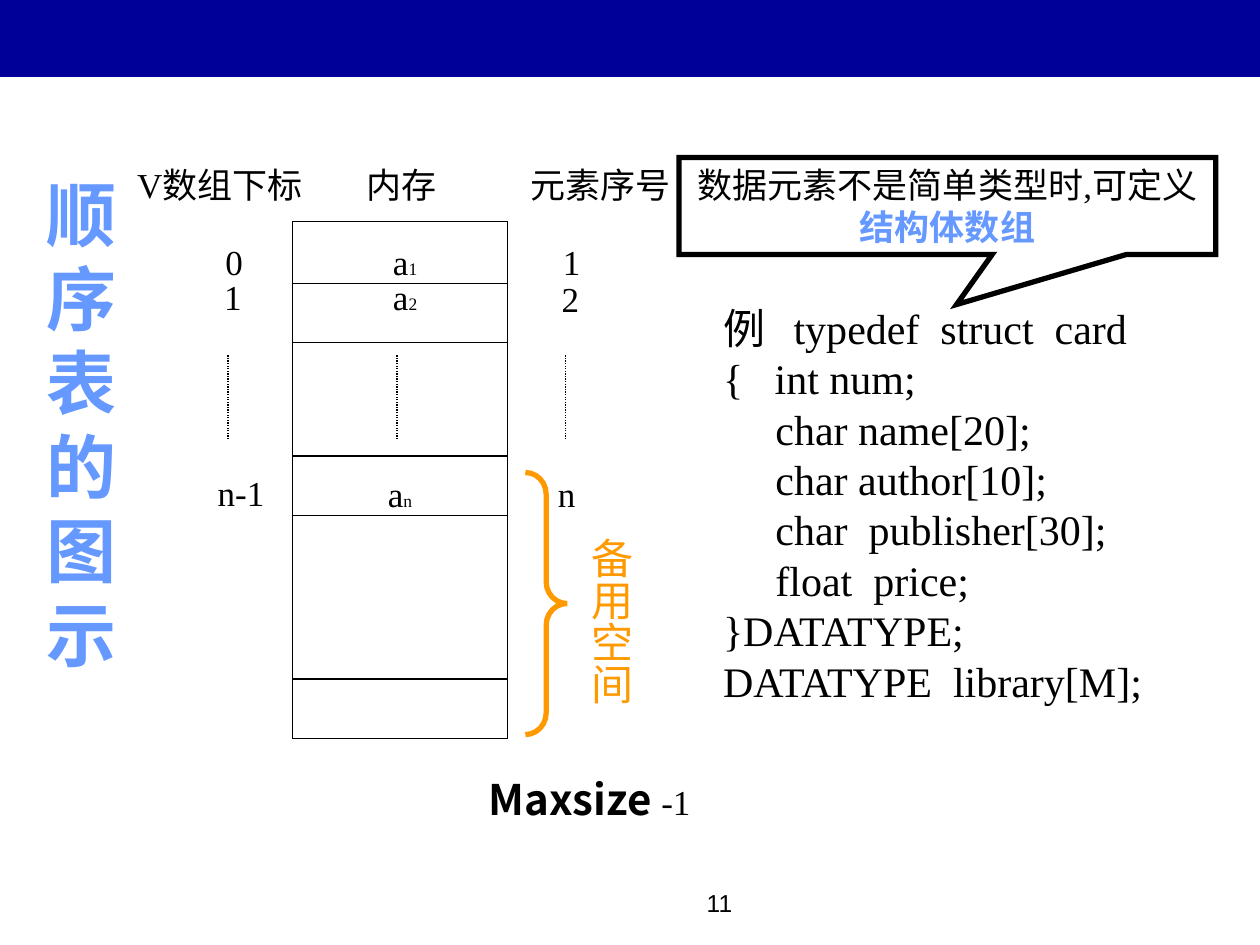
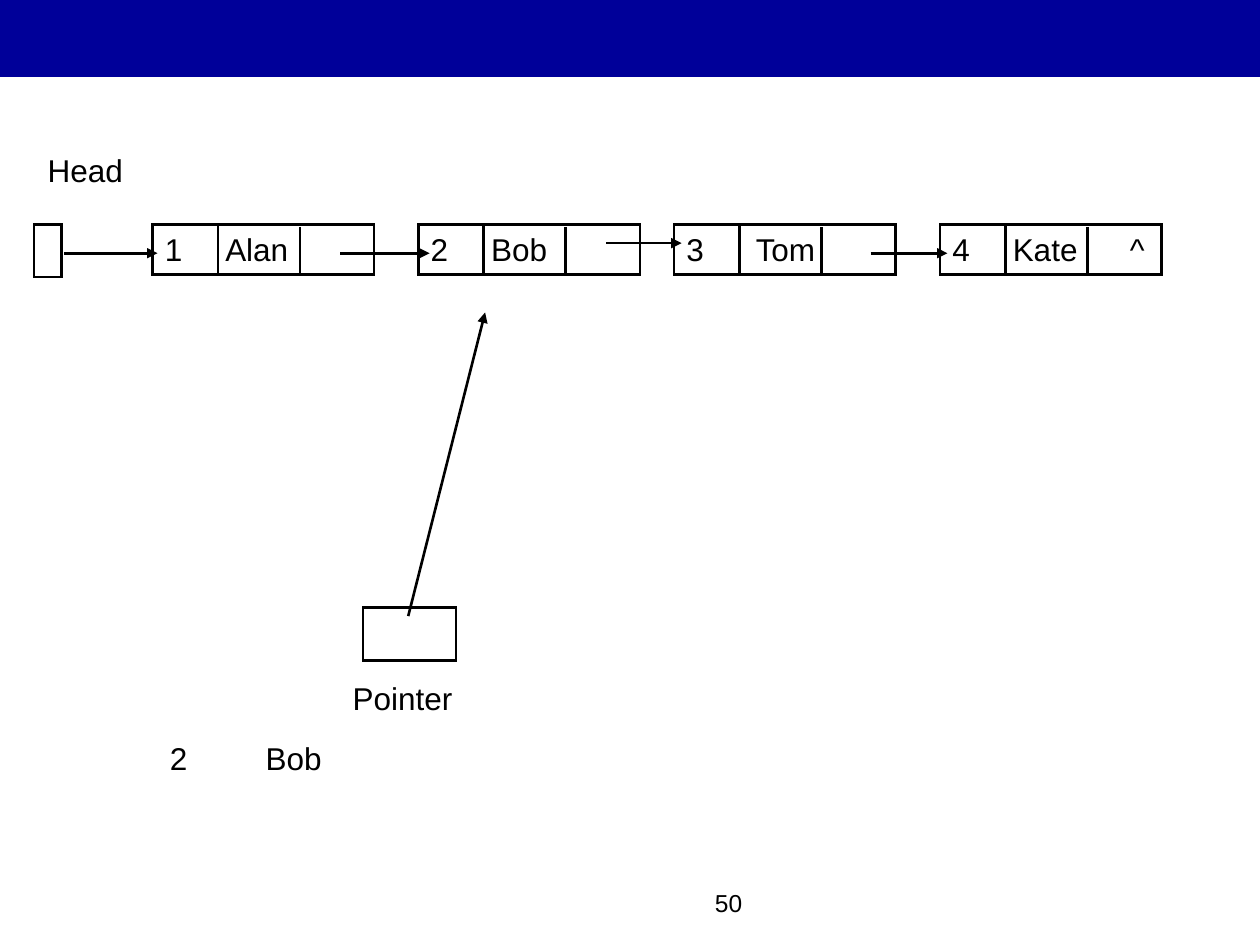
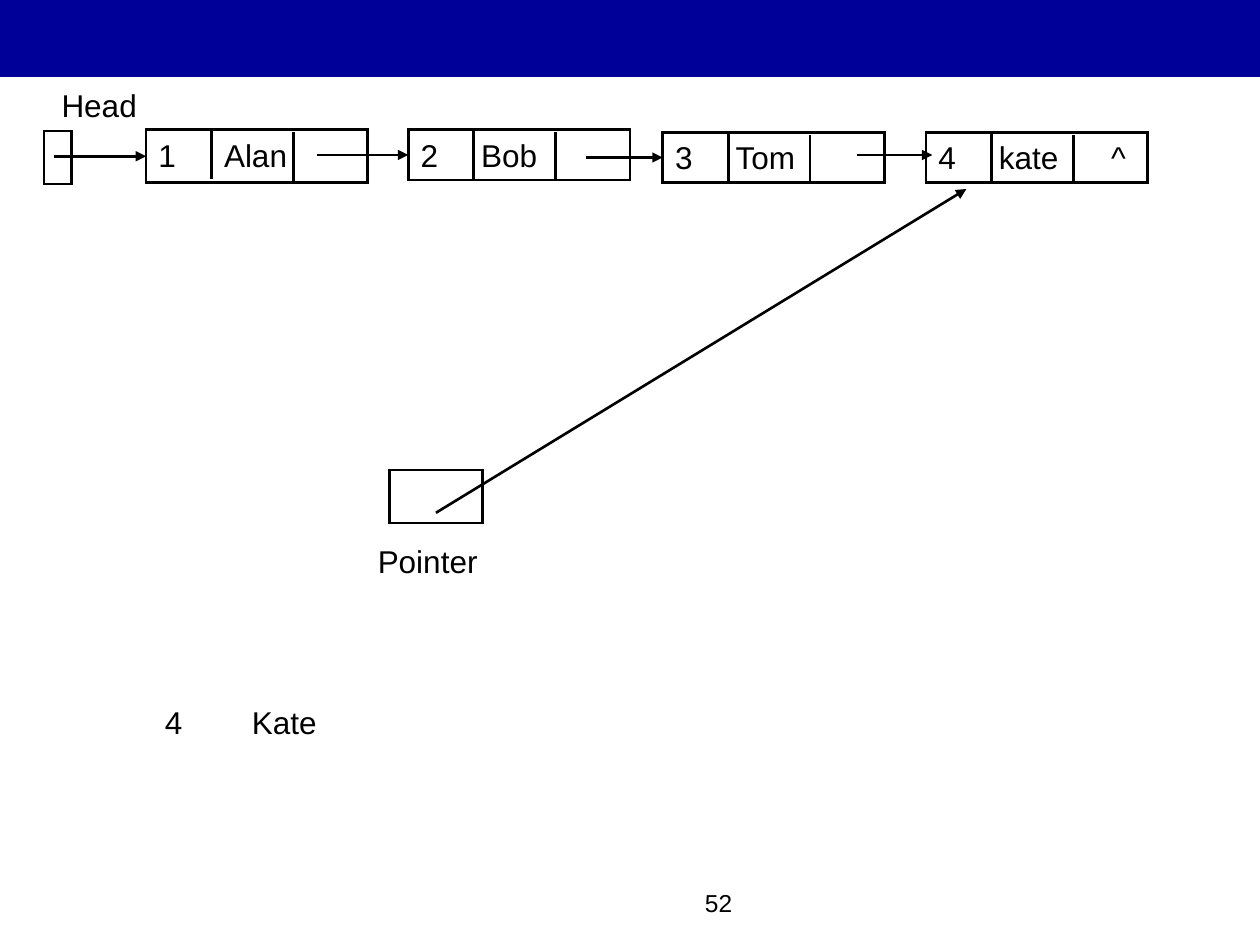
from dataclasses import dataclass

from lxml import etree
from pptx import Presentation
from pptx.dml.color import RGBColor
from pptx.enum.dml import MSO_LINE
from pptx.enum.shapes import MSO_CONNECTOR, MSO_SHAPE
from pptx.enum.text import MSO_ANCHOR, MSO_AUTO_SIZE, PP_ALIGN
from pptx.oxml.ns import qn
from pptx.util import Inches, Pt

STRAIGHT = MSO_CONNECTOR.STRAIGHT
RECTANGLE = MSO_SHAPE.RECTANGLE
CALLOUT = MSO_SHAPE.RECTANGULAR_CALLOUT
BRACE = MSO_SHAPE.RIGHT_BRACE
DOTTED = MSO_LINE.ROUND_DOT
TOP, MIDDLE = MSO_ANCHOR.TOP, MSO_ANCHOR.MIDDLE
FIXED, FIT_TEXT = MSO_AUTO_SIZE.NONE, MSO_AUTO_SIZE.SHAPE_TO_FIT_TEXT
LEFT, CENTER, RIGHT = PP_ALIGN.LEFT, PP_ALIGN.CENTER, PP_ALIGN.RIGHT
LEFT_SIDE = 1


@dataclass(frozen=True)
class Theme:
    band: str = "000099"
    ink: str = "000000"
    paper: str = "FFFFFF"
    accent: str = "6699FF"
    spare: str = "FF9900"
    sans: str = "Arial"
    serif: str = "Times New Roman"
    chinese: str = "Noto Sans CJK SC"
    title: int = 40
    code: int = 24
    label: int = 20
    node: int = 18
    number: int = 14
    subscript: int = 10
    thin: float = 0.75
    medium: float = 1.5
    thick: float = 3


THEME = Theme()

# Array slide: text, left, top, width
HEADINGS = [("V数组下标", 0.99, 1.25, 1.6), ("内存", 2.81, 1.25, 0.85), ("元素序号", 4.11, 1.25, 1.31)]
INDEXES = [("0", 1.69, 1.86, 0.34), ("1", 1.68, 2.14, 0.34), ("n-1", 1.63, 3.69, 0.57)]
ORDERS = [("1", 4.37, 1.86, 0.34), ("2", 4.36, 2.15, 0.34), ("n", 4.33, 3.7, 0.34)]
ELEMENTS = [("1", 3.02, 1.86), ("2", 3.02, 2.14), ("n", 2.98, 3.7)]
MEMORY = (2.32, 1.76, 1.71, 4.1)
CELL_BORDERS = [2.25, 2.72, 3.62, 4.09, 5.39]
ELLIPSES = [1.81, 3.15, 4.49]
CODE = [
    "例\ttypedef  struct  card",
    "{   int num;",
    "     char name[20];",
    "     char author[10];",
    "     char  publisher[30];",
    "     float  price;",
    "}DATATYPE;",
    "DATATYPE  library[M];",
]

# Linked-list slides. Nodes: left, top, height, text, tab stops.
# Links: start x, end x, y; a link without y is joined to its node's left side.
LISTS = [
    {
        "number": ("50", 3.91),
        "head": (0.28, 1.15),
        "head_box": (0.27, 1.78, 0.22, 0.42),
        "nodes": [
            (1.21, 1.78, 0.4, "1\tAlan", [0.48]),
            (3.32, 1.78, 0.4, "2\tBob", [0.48]),
            (5.35, 1.78, 0.4, "3\tTom", [0.55]),
            (7.46, 1.78, 0.4, "4\tKate\t^", [0.48, 1.41]),
        ],
        "links": [(0.51, 1.25, 2.01), (2.7, 3.41, 2.01), (4.81, 5.41, 1.93), (6.91, 7.52, 2.01)],
        "pointer": (2.7, 5.34),
        "pointer_box": (2.88, 4.82, 0.74, 0.42),
        "pointer_arrow": (3.24, 4.89, 3.85, 2.48),
        "result": ("2\tBob", 1.25, 5.82, 0.76),
    },
    {
        "number": ("52", 3.83),
        "head": (0.39, 0.63),
        "head_box": (0.35, 1.04, 0.22, 0.42),
        "nodes": [
            (1.16, 1.03, 0.42, "1\tAlan", [0.52]),
            (3.24, 1.03, 0.4, "2\tBob", [0.48]),
            (5.26, 1.05, 0.4, "3\tTom", [0.48]),
            (7.35, 1.05, 0.4, "4\tkate\t^", [0.48, 1.37]),
        ],
        "links": [(0.43, 1.16, None), (2.52, 3.24, None), (4.65, 5.26, None), (6.8, 7.4, 1.23)],
        "pointer": (2.9, 4.25),
        "pointer_box": (3.09, 3.73, 0.74, 0.42),
        "pointer_arrow": (3.46, 4.07, 7.67, 1.5),
        "result": ("4\tKate", 1.21, 5.53, 0.69),
    },
]
NODE_WIDTH = 1.76
DIVIDERS = [(0.52, 0), (1.17, 0.02)]
DIVIDER_HEIGHT = 0.39


def style_run(run, size, font, color=THEME.ink, bold=False):
    run.font.size = Pt(size)
    run.font.name = font
    run.font.bold = bold
    run.font.color.rgb = RGBColor.from_string(color)
    east_asian = etree.SubElement(run._r.get_or_add_rPr(), qn("a:ea"))
    east_asian.set("typeface", THEME.chinese)


def set_tabs(paragraph, stops):
    tab_list = etree.SubElement(paragraph._p.get_or_add_pPr(), qn("a:tabLst"))
    for stop in stops:
        etree.SubElement(tab_list, qn("a:tab"), pos=str(Inches(stop)), algn="l")


def write(shape, text, size, font, color=THEME.ink, bold=False, align=LEFT, tabs=()):
    shape.text_frame.text = text
    for paragraph in shape.text_frame.paragraphs:
        paragraph.alignment = align
        if tabs:
            set_tabs(paragraph, tabs)
        for run in paragraph.runs:
            style_run(run, size, font, color, bold)


def append_run(shape, text, size, font, **style):
    run = shape.text_frame.paragraphs[0].add_run()
    run.text = text
    style_run(run, size, font, **style)


def add_text(slide, box, text, size, font, wrap=True, **style):
    """Add a text box; an unwrapped one fits its text."""
    shape = slide.shapes.add_textbox(*map(Inches, box))
    shape.text_frame.word_wrap = wrap
    shape.text_frame.auto_size = FIXED if wrap else FIT_TEXT
    write(shape, text, size, font, **style)
    return shape


def add_box(slide, kind, box, line=THEME.ink, width=THEME.medium, fill=None):
    shape = slide.shapes.add_shape(kind, *map(Inches, box))
    shape.shadow.inherit = False
    if fill:
        shape.fill.solid()
        shape.fill.fore_color.rgb = RGBColor.from_string(fill)
    else:
        shape.fill.background()
    if line:
        shape.line.color.rgb = RGBColor.from_string(line)
        shape.line.width = Pt(width)
        etree.SubElement(shape.line._get_or_add_ln(), qn("a:miter"), lim="800000")
    else:
        shape.line.fill.background()
    return shape


def add_line(slide, ends, width=THEME.medium, arrow=False):
    connector = slide.shapes.add_connector(STRAIGHT, *map(Inches, ends))
    connector.line.color.rgb = RGBColor.from_string(THEME.ink)
    connector.line.width = Pt(width)
    if arrow:
        etree.SubElement(connector.line._get_or_add_ln(), qn("a:tailEnd"), type="triangle")
    etree.SubElement(connector._element.spPr, qn("a:effectLst"))
    return connector


def add_slide(presentation, number, number_left):
    """Add a blank slide with the top band and the page number."""
    slide = presentation.slides.add_slide(presentation.slide_layouts[6])
    add_box(slide, RECTANGLE, (-0.01, 0, 10.01, 0.61), line=None, fill=THEME.band)
    add_text(slide, (number_left, 7, 2.08, 0.5), number, THEME.number, THEME.sans, align=RIGHT)
    return slide


def add_memory(slide):
    left, _, width, _ = MEMORY
    add_box(slide, RECTANGLE, MEMORY, width=THEME.thin)
    for y in CELL_BORDERS:
        add_line(slide, (left, y, left + width, y), THEME.thin)
    for x in ELLIPSES:
        add_line(slide, (x, 2.82, x, 3.49), THEME.thin).line.dash_style = DOTTED
    for text, x, y, label_width in HEADINGS + INDEXES + ORDERS:
        add_text(slide, (x, y, label_width, 0.44), text, THEME.label, THEME.serif, wrap=False)
    for subscript, x, y in ELEMENTS:
        label = add_text(slide, (x, y, 0.39, 0.44), "a", THEME.label, THEME.serif, wrap=False)
        append_run(label, subscript, THEME.subscript, THEME.serif)
    limit = add_text(slide, (3.78, 6.09, 2.04, 0.5), "Maxsize ", THEME.code, THEME.chinese,
                     wrap=False, bold=True)
    append_run(limit, "-1", THEME.label, THEME.serif)


def add_spare_space(slide):
    brace = add_box(slide, BRACE, (4.17, 3.75, 0.33, 2.08), THEME.spare, THEME.thick)
    brace.adjustments[0] = 0.52
    label = add_text(slide, (4.5, 4.17, 0.6, 1.55), "备用空间", THEME.code, THEME.serif,
                     color=THEME.spare)
    frame = label.text_frame
    frame.margin_left = frame.margin_right = Inches(0.05)
    frame.margin_top = frame.margin_bottom = Inches(0.1)
    frame._txBody.bodyPr.set("vert", "eaVert")


def add_array_slide(presentation):
    slide = add_slide(presentation, "11", 3.83)
    add_memory(slide)
    code = add_text(slide, (5.64, 2.35, 3.71, 3.3), "\n".join(CODE), THEME.code, THEME.serif,
                    tabs=[0.56])
    code.text_frame.vertical_anchor = MIDDLE
    add_spare_space(slide)
    callout = add_box(slide, CALLOUT, (5.39, 1.25, 4.26, 0.77), width=THEME.thick, fill=THEME.paper)
    callout.adjustments[0], callout.adjustments[1] = 0.017, 1.016
    callout.text_frame.vertical_anchor = MIDDLE
    write(callout, "数据元素不是简单类型时,可定义", THEME.label, THEME.serif, align=CENTER)
    append_run(callout, "结构体数组", THEME.label, THEME.serif, color=THEME.accent, bold=True)
    add_text(slide, (0.27, 1.31, 0.71, 4.1), "顺序表的图示", THEME.title, THEME.chinese,
             color=THEME.accent, bold=True, align=CENTER)


def add_node(slide, left, top, height, text, tabs):
    node = add_box(slide, RECTANGLE, (left, top, NODE_WIDTH, height))
    node.text_frame.word_wrap = True
    node.text_frame.vertical_anchor = TOP
    write(node, text, THEME.node, THEME.sans, tabs=tabs)
    for offset, drop in DIVIDERS:
        x, y = left + offset, top + drop
        add_line(slide, (x, y, x, y + DIVIDER_HEIGHT))
    return node


def add_list_slide(presentation, content):
    slide = add_slide(presentation, *content["number"])
    add_box(slide, RECTANGLE, content["head_box"])
    nodes = [add_node(slide, *node) for node in content["nodes"]]
    for node, (start, end, y) in zip(nodes, content["links"]):
        height = y or (node.top + node.height / 2) / Inches(1)
        link = add_line(slide, (start, height, end, height), arrow=True)
        if y is None:
            link.end_connect(node, LEFT_SIDE)
    add_box(slide, RECTANGLE, content["pointer_box"])
    add_line(slide, content["pointer_arrow"], arrow=True)
    for text, width in (("Head", 0.8), ("Pointer", 1.2)):
        add_text(slide, (*content[text.lower()], width, 0.4), text, THEME.node, THEME.sans)
    text, left, top, tab = content["result"]
    add_text(slide, (left, top, 1.41, 0.4), text, THEME.node, THEME.sans, tabs=[tab])


def main():
    presentation = Presentation()
    presentation.slide_width, presentation.slide_height = Inches(10), Inches(7.5)
    add_array_slide(presentation)
    for content in LISTS:
        add_list_slide(presentation, content)
    presentation.save("out.pptx")


if __name__ == "__main__":
    main()
